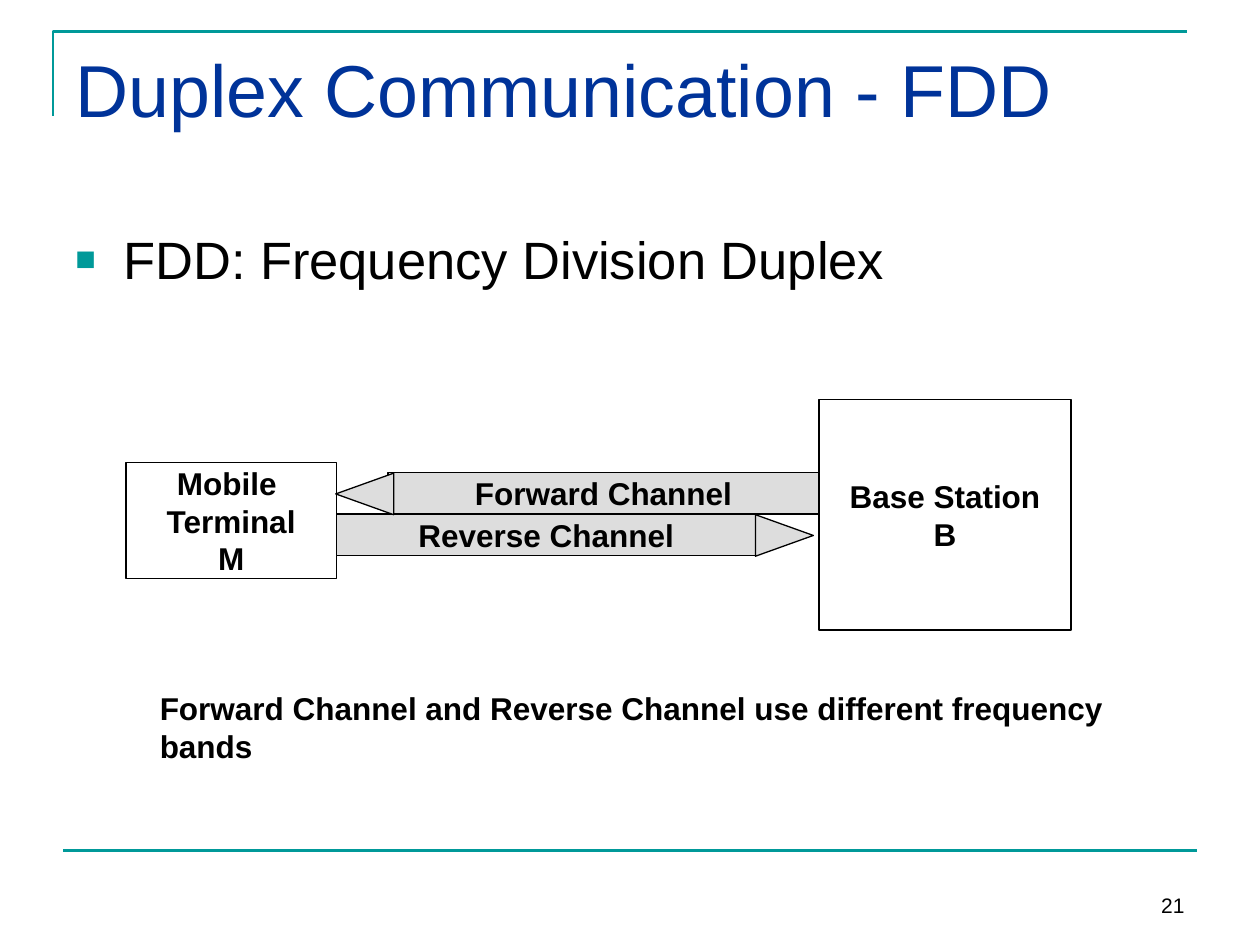
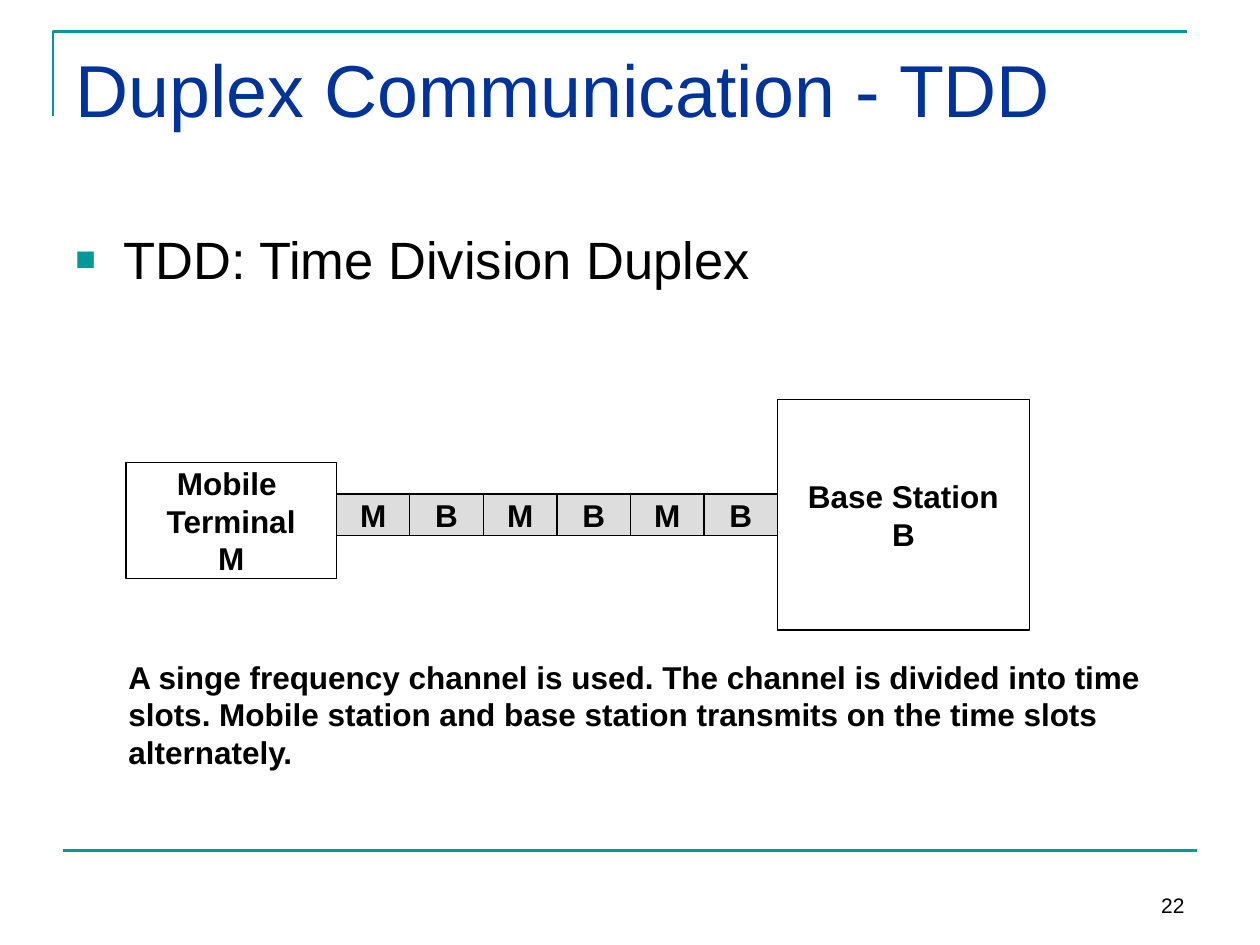
from typing import NamedTuple

from lxml import etree
from pptx import Presentation
from pptx.dml.color import RGBColor
from pptx.enum.shapes import MSO_CONNECTOR, MSO_SHAPE
from pptx.enum.text import MSO_ANCHOR, MSO_AUTO_SIZE, PP_ALIGN
from pptx.oxml.ns import qn
from pptx.util import Inches, Pt

TEAL = RGBColor(0x00, 0x99, 0x99)
NAVY = RGBColor(0x00, 0x33, 0x99)
BLACK = RGBColor(0x00, 0x00, 0x00)
WHITE = RGBColor(0xFF, 0xFF, 0xFF)
GREY = RGBColor(0xDD, 0xDD, 0xDD)
FONT = "Arial"

CHANNEL_HEIGHT = 0.33
MOBILE_RIGHT = 2.67
SLOT_PITCH = 3.5 / 6


class Box(NamedTuple):
    left: float
    top: float
    width: float
    height: float


class Block(NamedTuple):
    """A filled part of a channel diagram."""
    box: Box
    label: str = ""
    fill: RGBColor = GREY
    kind: MSO_SHAPE = MSO_SHAPE.RECTANGLE
    rotation: float = 0


class DuplexSlide(NamedTuple):
    number: int
    title: str
    bullet: str
    blocks: list[Block]
    caption: str
    caption_box: Box


def lengths(box: Box) -> list[int]:
    return [Inches(value) for value in box]


def write(frame, text: str, size: float, color: RGBColor = BLACK,
          bold: bool = False, align: PP_ALIGN = PP_ALIGN.LEFT) -> None:
    frame.text = text
    for paragraph in frame.paragraphs:
        paragraph.alignment = align
        for run in paragraph.runs:
            run.font.name = FONT
            run.font.size = Pt(size)
            run.font.bold = bold
            run.font.color.rgb = color


def add_text(slide, box: Box, text: str, size: float, wrap: bool = True, **style):
    frame = slide.shapes.add_textbox(*lengths(box)).text_frame
    frame.word_wrap = wrap
    write(frame, text, size, **style)
    return frame


def add_square_bullet(paragraph) -> None:
    properties = paragraph._p.get_or_add_pPr()
    properties.set("marL", str(Inches(0.38)))
    properties.set("indent", str(Inches(-0.38)))
    color = etree.SubElement(properties, qn("a:buClr"))
    etree.SubElement(color, qn("a:srgbClr"), val=str(TEAL))
    etree.SubElement(properties, qn("a:buSzPct"), val="65000")
    etree.SubElement(properties, qn("a:buFont"), typeface=FONT)
    etree.SubElement(properties, qn("a:buChar"), char="■")


def add_block(slide, block: Block) -> None:
    shape = slide.shapes.add_shape(block.kind, *lengths(block.box))
    shape.shadow.inherit = False
    shape.rotation = block.rotation
    shape.fill.solid()
    shape.fill.fore_color.rgb = block.fill
    shape.line.color.rgb = BLACK
    shape.line.width = Pt(0.75)
    if block.label:
        frame = shape.text_frame
        frame.word_wrap = False
        frame.vertical_anchor = MSO_ANCHOR.MIDDLE
        write(frame, block.label, 18, bold=True, align=PP_ALIGN.CENTER)


def add_frame_lines(slide) -> None:
    # Corner line around the title
    builder = slide.shapes.build_freeform(Inches(0.42), Inches(0.92))
    builder.add_line_segments(
        [(Inches(0.42), Inches(0.25)), (Inches(9.42), Inches(0.25))], close=False)
    corner = builder.convert_to_shape()
    corner.shadow.inherit = False
    corner.fill.background()

    # Footer rule
    rule = slide.shapes.add_connector(
        MSO_CONNECTOR.STRAIGHT, Inches(0.5), Inches(6.75), Inches(9.5), Inches(6.75))
    etree.SubElement(rule._element.spPr, qn("a:effectLst"))

    for outline in (corner.line, rule.line):
        outline.color.rgb = TEAL
        outline.width = Pt(1.5)


def add_duplex_slide(deck, content: DuplexSlide) -> None:
    slide = deck.slides.add_slide(deck.slide_layouts[6])
    add_frame_lines(slide)
    number = add_text(slide, Box(7.17, 6.83, 2.33, 0.5), str(content.number), 12,
                      align=PP_ALIGN.RIGHT)
    number.vertical_anchor = MSO_ANCHOR.BOTTOM
    add_text(slide, Box(0.5, 0.3, 9, 1.25), content.title, 42, color=NAVY)
    body = add_text(slide, Box(0.5, 1.75, 9, 4.95), content.bullet, 30)
    add_square_bullet(body.paragraphs[0])

    for block in content.blocks:
        add_block(slide, block)
    caption = add_text(slide, content.caption_box, content.caption, 18,
                       wrap=False, bold=True)
    caption.auto_size = MSO_AUTO_SIZE.SHAPE_TO_FIT_TEXT


def stations(base_left: float) -> list[Block]:
    return [
        Block(Box(base_left, 3.17, 2, 1.83), "Base Station\nB", WHITE),
        Block(Box(1, 3.67, 1.67, 0.92), "Mobile \vTerminal\nM", WHITE),
    ]


def arrow_tip(left: float, top: float, rotation: float) -> Block:
    return Block(Box(left, top, CHANNEL_HEIGHT, 0.46),
                 kind=MSO_SHAPE.ISOSCELES_TRIANGLE, rotation=rotation)


def main() -> None:
    deck = Presentation()
    deck.slide_width, deck.slide_height = Inches(10), Inches(7.5)

    channels = [
        Block(Box(3.08, 3.75, 3.42, CHANNEL_HEIGHT), "Forward Channel"),
        Block(Box(MOBILE_RIGHT, 4.08, 3.33, CHANNEL_HEIGHT), "Reverse Channel"),
        arrow_tip(6.06, 4.02, 90),
        arrow_tip(2.73, 3.69, 270),
    ]
    time_slots = [
        Block(Box(MOBILE_RIGHT + index * SLOT_PITCH, 3.92, SLOT_PITCH, CHANNEL_HEIGHT),
              sender)
        for index, sender in enumerate("MB" * 3)
    ]

    add_duplex_slide(deck, DuplexSlide(
        21, "Duplex Communication - FDD", "FDD: Frequency Division Duplex",
        stations(6.5) + channels,
        "Forward Channel and Reverse Channel use different frequency\nbands",
        Box(1.17, 5.42, 7.76, 0.7)))
    add_duplex_slide(deck, DuplexSlide(
        22, "Duplex Communication - TDD", "TDD: Time Division Duplex",
        stations(6.17) + time_slots,
        "A singe frequency channel is used. The channel is divided into time \v"
        "slots. Mobile station and base station transmits on the time slots \v"
        "alternately.",
        Box(0.92, 5.17, 8.31, 1)))

    deck.save("out.pptx")


if __name__ == "__main__":
    main()
